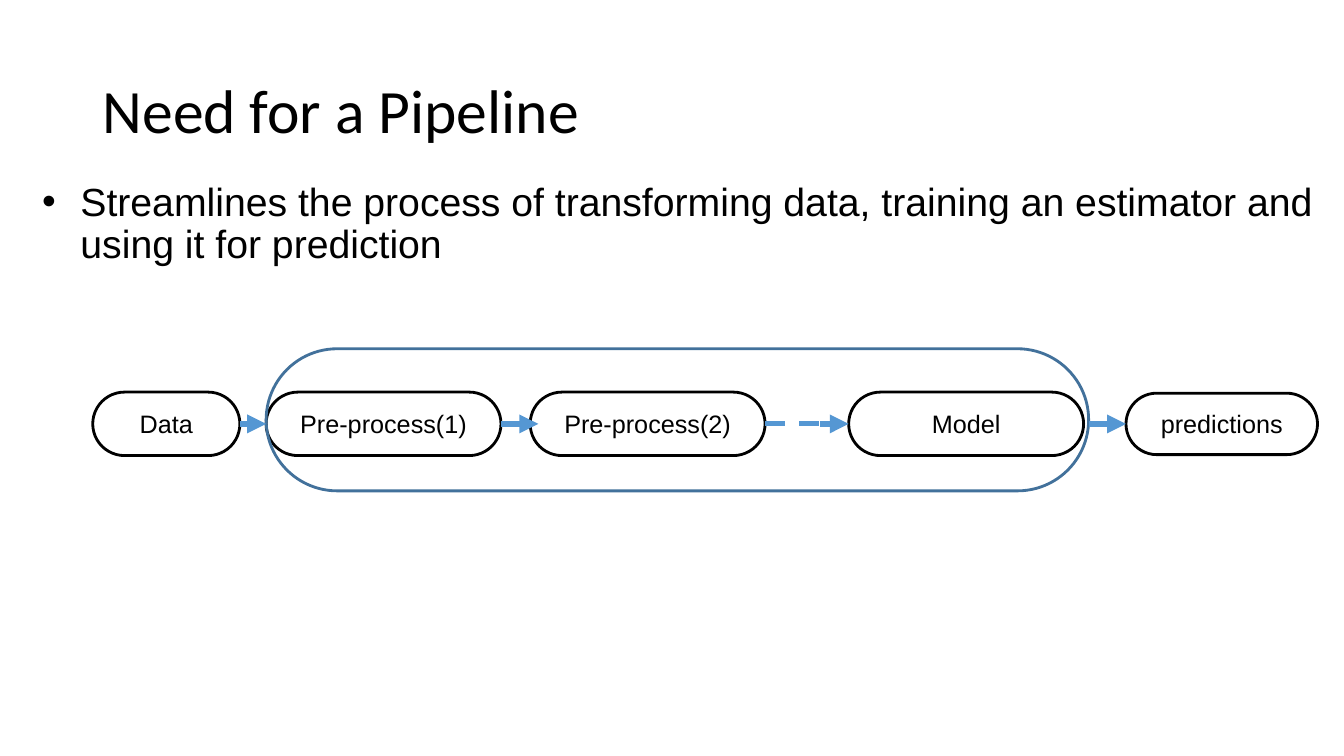
from lxml import etree
from pptx import Presentation
from pptx.dml.color import RGBColor
from pptx.enum.dml import MSO_LINE
from pptx.enum.shapes import MSO_CONNECTOR, MSO_SHAPE
from pptx.enum.text import MSO_ANCHOR, PP_ALIGN
from pptx.oxml.ns import qn
from pptx.util import Inches, Pt

BLACK = RGBColor(0x00, 0x00, 0x00)
WHITE = RGBColor(0xFF, 0xFF, 0xFF)
ARROW_BLUE = RGBColor(0x55, 0x97, 0xD3)
FRAME_BLUE = RGBColor(0x42, 0x71, 0x9B)

RECTANGLE = MSO_SHAPE.RECTANGLE
ROUNDED = MSO_SHAPE.ROUNDED_RECTANGLE
STRAIGHT = MSO_CONNECTOR.STRAIGHT
DASH = MSO_LINE.DASH
TOP, MIDDLE = MSO_ANCHOR.TOP, MSO_ANCHOR.MIDDLE
LEFT, CENTER = PP_ALIGN.LEFT, PP_ALIGN.CENTER
LEFT_SIDE, RIGHT_SIDE = 1, 3

SLIDE_WIDTH, SLIDE_HEIGHT = Inches(13.33), Inches(7.5)
COLUMN, ROW = SLIDE_WIDTH / 100, SLIDE_HEIGHT / 100
FLOW_ROW = 56.07
STEP_ROWS = 8.4
PREPROCESS_COLUMNS = 17.48

STEPS = [
    ("Data", 6.9, 10.95, STEP_ROWS),
    ("Pre-process(1)", 19.8, PREPROCESS_COLUMNS, STEP_ROWS),
    ("Pre-process(2)", 39.45, PREPROCESS_COLUMNS, STEP_ROWS),
    ("Model", 63.15, PREPROCESS_COLUMNS, STEP_ROWS),
    ("predictions", 83.78, 14.25, 8.13),
]


def place(column, row, columns, rows):
    return (round(column * COLUMN), round(row * ROW),
            round(columns * COLUMN), round(rows * ROW))


def write(frame, text, size, font="Arial", align=LEFT, anchor=MIDDLE,
          spacing=1.0, before=0):
    frame.word_wrap = True
    frame.vertical_anchor = anchor
    paragraph = frame.paragraphs[0]
    paragraph.alignment = align
    paragraph.line_spacing = spacing
    paragraph.space_before = Pt(before)
    run = paragraph.add_run()
    run.text = text
    run.font.size = Pt(size)
    run.font.name = font
    run.font.color.rgb = BLACK
    return paragraph


def add_bullet(paragraph):
    properties = paragraph._p.get_or_add_pPr()
    properties.set("marL", str(Inches(0.5)))
    properties.set("indent", str(Inches(-0.38)))
    etree.SubElement(properties, qn("a:buFont")).set("typeface", "Arial")
    etree.SubElement(properties, qn("a:buChar")).set("char", "•")


def add_panel(slide, kind, box, outline, fill=None):
    panel = slide.shapes.add_shape(kind, *place(*box))
    panel.shadow.inherit = False
    if fill is None:
        panel.fill.background()
    else:
        panel.fill.solid()
        panel.fill.fore_color.rgb = fill
    panel.line.color.rgb = outline
    panel.line.width = Pt(2)
    if kind == ROUNDED:
        panel.adjustments[0] = 0.5
    return panel


def add_step(slide, label, column, columns, rows):
    box = (column, FLOW_ROW - rows / 2, columns, rows)
    step = add_panel(slide, ROUNDED, box, BLACK, WHITE)
    write(step.text_frame, label, 18, align=CENTER)
    return step


def add_link(slide, start, end, width=4.5, dashed=False):
    y = round(FLOW_ROW * ROW)
    ends = [0 if hasattr(point, "left") else round(point * COLUMN)
            for point in (start, end)]
    link = slide.shapes.add_connector(STRAIGHT, ends[0], y, ends[1], y)
    if hasattr(start, "left"):
        link.begin_connect(start, RIGHT_SIDE)
    if hasattr(end, "left"):
        link.end_connect(end, LEFT_SIDE)
    link.line.color.rgb = ARROW_BLUE
    link.line.width = Pt(width)
    if dashed:
        link.line.dash_style = DASH
    else:
        outline = link.line._get_or_add_ln()
        etree.SubElement(outline, qn("a:tailEnd")).set("type", "triangle")
    etree.SubElement(link._element.spPr, qn("a:effectLst"))


def main():
    presentation = Presentation()
    presentation.slide_width = SLIDE_WIDTH
    presentation.slide_height = SLIDE_HEIGHT
    slide = presentation.slides.add_slide(presentation.slide_layouts[6])

    title = slide.shapes.add_textbox(*place(6.9, 5.33, 86.25, 19.33))
    write(title.text_frame, "Need for a Pipeline", 44, font="Calibri",
          spacing=0.9)

    body = add_panel(slide, RECTANGLE, (1.5, 23.47, 98.5, 64), WHITE, WHITE)
    add_bullet(write(
        body.text_frame,
        "Streamlines the process of transforming data, training an estimator "
        "and using it for prediction",
        28, anchor=TOP, spacing=0.9, before=10))

    data, first, second, model, predictions = [
        add_step(slide, *step) for step in STEPS]
    add_panel(slide, ROUNDED, (19.8, 46.13, 61.2, 18.8), FRAME_BLUE)

    add_link(slide, data, first)
    add_link(slide, first, 40.05)
    add_link(slide, second, 61.05, width=3.5, dashed=True)
    add_link(slide, 61.05, model)
    add_link(slide, 81, predictions)

    presentation.save("out.pptx")


if __name__ == "__main__":
    main()
